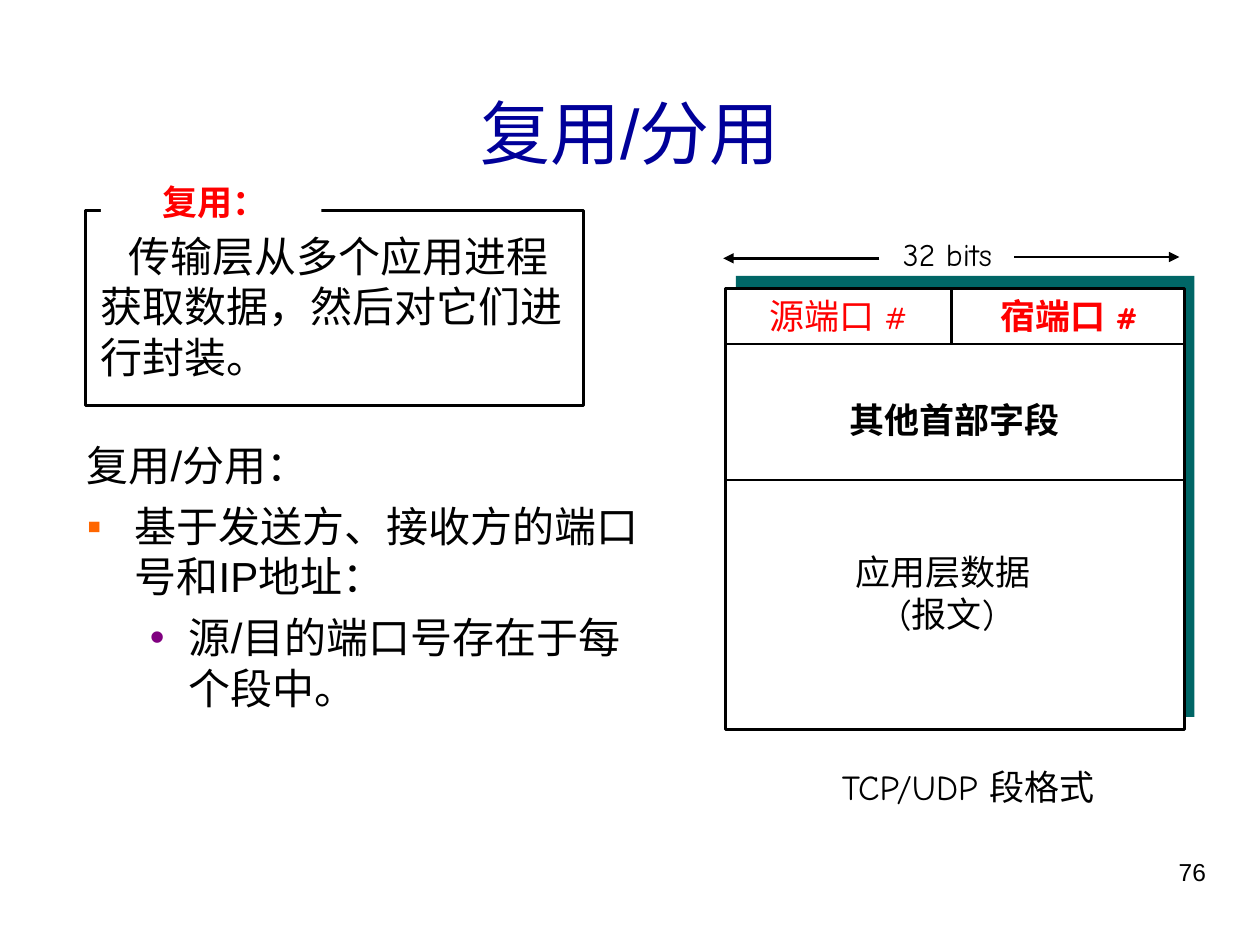
from lxml import etree
from pptx import Presentation
from pptx import util as u
from pptx.dml.color import RGBColor
from pptx.enum import shapes, text
from pptx.oxml.ns import qn

INK = {"black": "000000", "white": "FFFFFF", "navy": "000099", "red": "FF0000",
       "teal": "006666", "orange": "FF6600", "purple": "800080"}
SANS, COMIC, SERIF = "Arial", "Comic Neue", "Times New Roman"
LEFT, MID, RIGHT = text.PP_ALIGN.LEFT, text.PP_ALIGN.CENTER, text.PP_ALIGN.RIGHT

deck = Presentation()
deck.slide_width, deck.slide_height = u.Inches(10), u.Inches(7.5)
CELL = deck.slide_width / 100  # grid of 100 columns by 75 rows
slide = deck.slides.add_slide(deck.slide_layouts[6])


def grid(*cells):
    return [u.Emu(round(n * CELL)) for n in cells]


def write(area, paras, align=MID, wrap=False, side=1):
    """Add a text box; each paragraph is a list of (words, size, font, ink, bold)."""
    box = slide.shapes.add_textbox(*grid(*area))
    frame = box.text_frame
    frame.word_wrap = wrap
    if not wrap:
        frame.auto_size = text.MSO_AUTO_SIZE.SHAPE_TO_FIT_TEXT
    frame.margin_left = frame.margin_right = grid(side)[0]
    for i, runs in enumerate(paras):
        para = frame.add_paragraph() if i else frame.paragraphs[0]
        para.alignment = align
        for words, size, font, ink, bold in runs:
            run = para.add_run()
            run.text = words
            run.font.size, run.font.name, run.font.bold = u.Pt(size), font, bold
            run.font.color.rgb = RGBColor.from_string(INK[ink])
    return frame


# Page number and title
write((71.7, 67.5, 25, 5.2), [[("76", 14, SANS, "black", False)]], RIGHT, True)
title = write((3.3, 4.2, 93.4, 12.5), [[("复用/分用", 40, SANS, "navy", False)]], wrap=True)
title.vertical_anchor = text.MSO_ANCHOR.MIDDLE

# Segment with its offset backing, definition frame and the gap for its label
rects = [
    ((58.4, 21.9, 36.4, 35), "teal", None),
    ((57.6, 22.9, 36.4, 35), "white", "black"),
    ((6.8, 16.7, 39.5, 15.5), None, "black"),
    ((8, 14.2, 17.5, 3.6), "white", None),
]
for area, fill, edge in rects:
    rect = slide.shapes.add_shape(shapes.MSO_SHAPE.RECTANGLE, *grid(*area))
    rect.shadow.inherit = False
    if fill:
        rect.fill.solid()
        rect.fill.fore_color.rgb = RGBColor.from_string(INK[fill])
    else:
        rect.fill.background()
    if edge:
        rect.line.color.rgb = RGBColor.from_string(INK[edge])
        rect.line.width = u.Pt(1.5)
    else:
        rect.line.fill.background()

# Segment dividers and width arrows
lines = [
    ((57.6, 27.3, 94, 27.3), False),
    ((57.6, 38.1, 94, 38.1), False),
    ((75.5, 27.2, 75.5, 22.9), False),
    ((80.5, 20.4, 93.6, 20.4), True),
    ((69.8, 20.5, 57.4, 20.5), True),
]
for ends, arrow in lines:
    line = slide.shapes.add_connector(shapes.MSO_CONNECTOR.STRAIGHT, *grid(*ends))
    line.line.color.rgb = RGBColor.from_string(INK["black"])
    line.line.width = u.Pt(1.5)
    if arrow:
        etree.SubElement(line.line._get_or_add_ln(), qn("a:tailEnd"), type="triangle")
    etree.SubElement(line._element.spPr, qn("a:effectLst"))

# Definition
write((12.8, 13.8, 8.5, 4.4), [[("复用：", 20, COMIC, "red", True)]], wrap=True, side=0)
about = write((7, 17.8, 38.7, 13), [[
    ("传输层从多个应用进程获取数据，然后对它们进行封装。", 24, COMIC, "black", False)]], LEFT, True)
about.paragraphs[0]._p.get_or_add_pPr().set("indent", str(grid(2.2)[0]))

# Outline: words, left margin, first-line indent, bullet, bullet ink
points = [
    ("复用/分用：", 3.8, -3.8, None, None),
    ("基于发送方、接收方的端口号和IP地址：", 3.8, -3.8, "▪", "orange"),
    ("源/目的端口号存在于每个段中。", 8.1, -3.1, "•", "purple"),
]
body = write((5.9, 34.4, 45.8, 33.1),
             [[(point[0], 24, SANS, "black", False)] for point in points], LEFT, True)
for i, (para, point) in enumerate(zip(body.paragraphs, points)):
    _, left, first, mark, ink = point
    prop = para._p.get_or_add_pPr()
    prop.set("marL", str(grid(left)[0]))
    prop.set("indent", str(grid(first)[0]))
    if mark:
        tint = etree.SubElement(prop, qn("a:buClr"))
        etree.SubElement(tint, qn("a:srgbClr"), val=INK[ink])
        etree.SubElement(prop, qn("a:buFont"), typeface=SANS)
        etree.SubElement(prop, qn("a:buChar"), char=mark)
    if i:
        para.space_before = u.Pt(6)

# Segment labels
for left, name, bold in [(59, "源端口", False), (77.3, "宿端口", True)]:
    write((left, 22.3, 15.1, 5), [[(name, 20, SERIF, "red", bold),
                                   (" ", 24, SERIF, "black", bold),
                                   ("#", 18, COMIC, "red", bold)]])
labels = [
    ((70.2, 18.2, 10, 4), ["32 bits"], 18, False),
    ((66.4, 31.1, 18.7, 4.4), ["其他首部字段"], 20, True),
    ((66.4, 43.2, 17.5, 7.7), ["应用层数据 ", "(报文)"], 20, False),
    ((65.3, 60.3, 23.1, 4.4), ["TCP/UDP 段格式"], 20, False),
]
for area, rows, size, bold in labels:
    write(area, [[(row, size, COMIC, "black", bold)] for row in rows])

deck.save("out.pptx")
